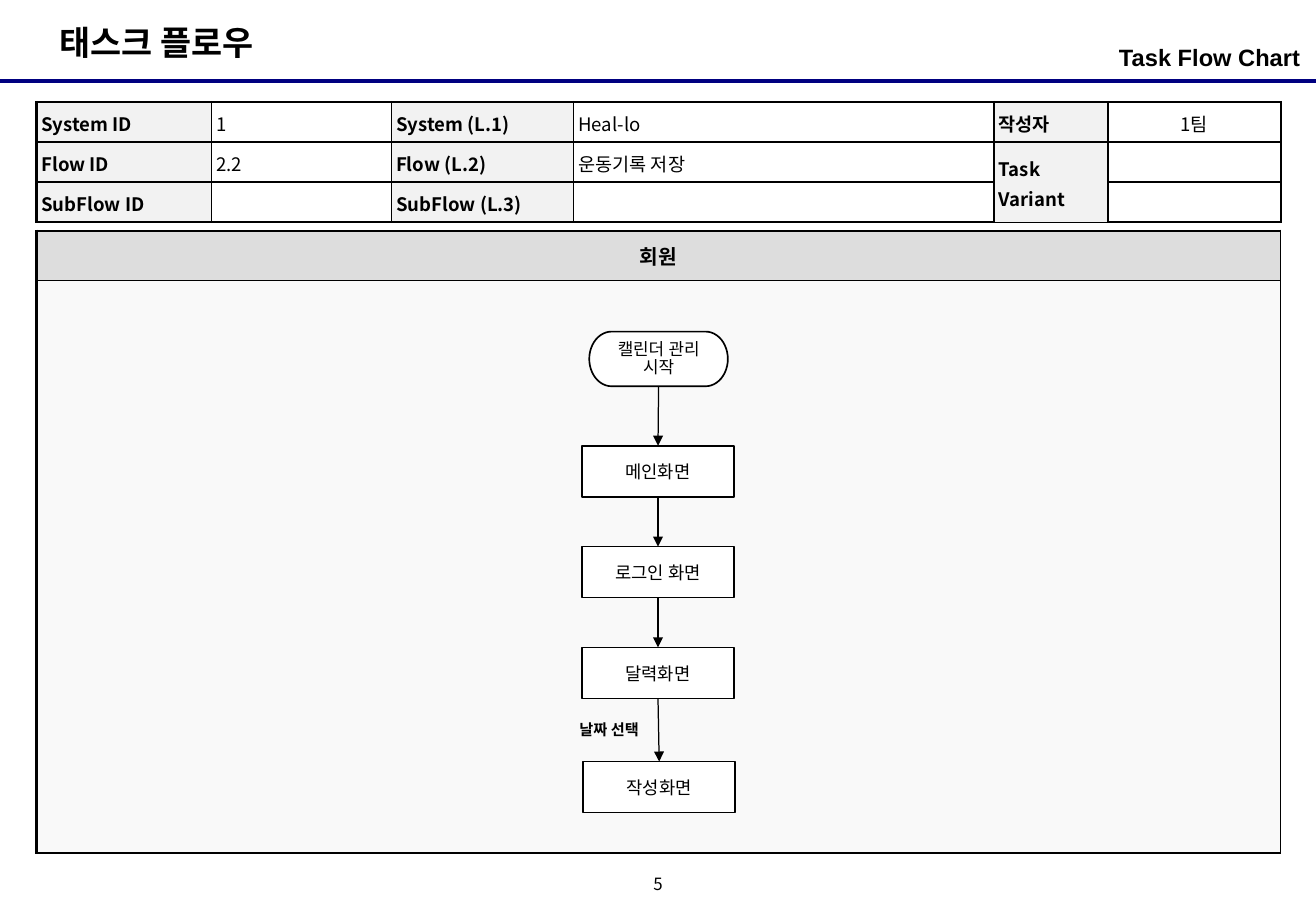
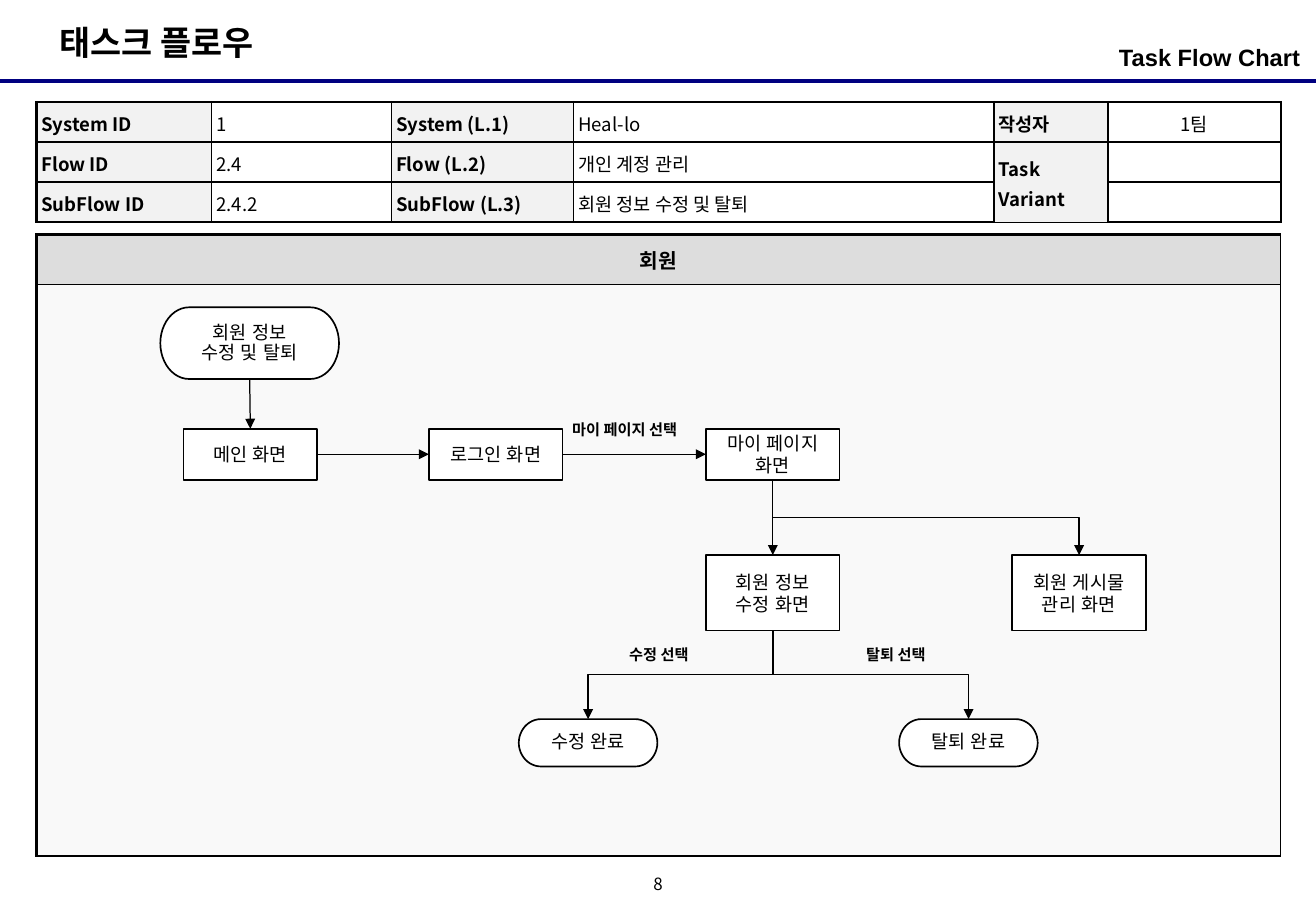
"""Build two task flow chart slides."""
import lxml.etree
import pptx
import pptx.dml.color
import pptx.enum.shapes
import pptx.enum.text
import pptx.oxml.ns
import pptx.util

Inches = pptx.util.Inches
Pt = pptx.util.Pt
RGBColor = pptx.dml.color.RGBColor
qn = pptx.oxml.ns.qn
ALIGN = pptx.enum.text.PP_ALIGN
ANCHOR = pptx.enum.text.MSO_ANCHOR
CONNECTOR = pptx.enum.shapes.MSO_CONNECTOR
SHAPE = pptx.enum.shapes.MSO_SHAPE

BLACK = RGBColor(0x00, 0x00, 0x00)
WHITE = RGBColor(0xFF, 0xFF, 0xFF)
NAVY = RGBColor(0x00, 0x00, 0x80)
LABEL_FILL = RGBColor(0xF2, 0xF2, 0xF2)
HEADER_FILL = RGBColor(0xDD, 0xDD, 0xDD)
PANEL_FILL = RGBColor(0xF9, 0xF9, 0xF9)

KOREAN_FONT = "Noto Sans CJK KR"
LATIN_FONT = "Arial"
SLIDE_WIDTH, SLIDE_HEIGHT = 10.83, 7.5
TABLE_LEFT = 0.3
INFO_COLUMNS = (1.44, 1.48, 1.5, 3.46, 0.94, 1.42)
LABEL_COLUMNS = (0, 2, 4)
TOP, LEFT, BOTTOM, RIGHT = range(4)


def write_text(frame, text, size=11, font=KOREAN_FONT, bold=False, align=ALIGN.LEFT,
               anchor=ANCHOR.MIDDLE, spacing=1.0, wrap=True, insets=None):
    """Fill a text frame with one paragraph per line of text."""
    frame.word_wrap = wrap
    frame.vertical_anchor = anchor
    if insets:
        frame.margin_left = frame.margin_right = Inches(insets[0])
        frame.margin_top = frame.margin_bottom = Inches(insets[1])
    for index, line in enumerate(text.split("\n")):
        paragraph = frame.add_paragraph() if index else frame.paragraphs[0]
        paragraph.alignment = align
        paragraph.line_spacing = spacing
        if not line:
            lxml.etree.SubElement(paragraph._p, qn("a:endParaRPr"), sz=str(size * 100))
            continue
        run = paragraph.add_run()
        run.text = line
        run.font.size = Pt(size)
        run.font.bold = bold
        run.font.name = font
        run.font.color.rgb = BLACK
        lxml.etree.SubElement(run._r.get_or_add_rPr(), qn("a:ea"), typeface=font)


def add_label(slide, left, top, width, height, text, **text_format):
    """Add a text box."""
    box = slide.shapes.add_textbox(Inches(left), Inches(top), Inches(width), Inches(height))
    write_text(box.text_frame, text, **text_format)


def add_choice(slide, left, top, width, text):
    """Add the bold caption of a choice beside an arrow."""
    add_label(slide, left, top, width, 0.25, text, size=9, bold=True)


def style_line(connector, color, width):
    """Give a connector its colour and width and remove its shadow."""
    connector.line.color.rgb = color
    connector.line.width = Pt(width)
    lxml.etree.SubElement(connector.element.spPr, qn("a:effectLst"))


def add_frame(presentation, page_number):
    """Add a slide with the shared title, rule, heading and page number."""
    slide = presentation.slides.add_slide(presentation.slide_layouts[5])
    rule = slide.shapes.add_connector(
        CONNECTOR.STRAIGHT, 0, Inches(0.67), Inches(SLIDE_WIDTH), Inches(0.67))
    style_line(rule, NAVY, 2.25)
    title = slide.shapes.title
    title.left, title.top = Inches(0.39), Inches(0.13)
    title.width, title.height = Inches(1.98), Inches(0.44)
    write_text(title.text_frame, "태스크 플로우", size=20, bold=True, wrap=False)
    title.text_frame.auto_size = pptx.enum.text.MSO_AUTO_SIZE.NONE
    add_label(slide, 7.39, 0.3, 3.31, 0.39, "Task Flow Chart", size=14, font=LATIN_FONT,
              bold=True, align=ALIGN.RIGHT, anchor=ANCHOR.TOP, insets=(0, 0.05))
    add_label(slide, 5.25, 7.17, 0.33, 0.25, page_number, size=10, align=ALIGN.CENTER,
              spacing=0.8, wrap=False, insets=(0, 0))
    return slide


def add_table(slide, top, columns, rows):
    """Add a plain table with the given column widths and row heights."""
    table = slide.shapes.add_table(
        len(rows), len(columns), Inches(TABLE_LEFT), Inches(top),
        Inches(sum(columns)), Inches(sum(rows))).table
    table.first_row = table.horz_banding = False
    for column, width in zip(table.columns, columns):
        column.width = Inches(width)
    for row, height in zip(table.rows, rows):
        row.height = Inches(height)
    return table


def style_cell(cell, fill, left, right, top, bottom):
    """Set the border widths in points and the fill of a cell."""
    properties = cell._tc.get_or_add_tcPr()
    for side, width in zip("LRTB", (left, right, top, bottom)):
        line = lxml.etree.SubElement(properties, qn(f"a:ln{side}"), w=str(Pt(width)))
        solid = lxml.etree.SubElement(line, qn("a:solidFill"))
        lxml.etree.SubElement(solid, qn("a:srgbClr"), val=str(BLACK))
    cell.fill.solid()
    cell.fill.fore_color.rgb = fill


def add_info_table(slide, flow_id, flow, subflow_id="", subflow=""):
    """Add the table that identifies the system, flow and subflow."""
    rows = (
        ("System ID", "1", "System (L.1)", "Heal-lo", "작성자", "1팀"),
        ("Flow ID", flow_id, "Flow (L.2)", flow, "Task Variant", ""),
        ("SubFlow ID", subflow_id, "SubFlow (L.3)", subflow, "", ""),
    )
    table = add_table(slide, 0.84, INFO_COLUMNS, [0.33] * len(rows))
    last_row, last_column = len(rows) - 1, len(INFO_COLUMNS) - 1
    for row, texts in enumerate(rows):
        for column, text in enumerate(texts):
            cell = table.cell(row, column)
            is_label = column in LABEL_COLUMNS
            is_author = column >= 4
            style_cell(
                cell, LABEL_FILL if is_label else WHITE,
                left=1.5 if column == 0 else 1,
                right=1.5 if column == last_column else 1,
                top=1.5 if row == 0 or (is_author and row == 1) else 1,
                bottom=1.5 if row == last_row or (is_author and row == 0) else 1)
            cell.margin_left = cell.margin_right = Inches(0.04)
            cell.margin_top = cell.margin_bottom = Inches(0.04)
            cell.vertical_anchor = ANCHOR.MIDDLE
            write_text(cell.text_frame, text, bold=is_label, spacing=1.1,
                       align=ALIGN.CENTER if column == last_column else ALIGN.LEFT)
    table.cell(1, 4).merge(table.cell(2, 4))


def add_lane(slide, top):
    """Add the member lane that holds the flow."""
    table = add_table(slide, top, [sum(INFO_COLUMNS)], [0.41, 4.71])
    header, body = table.cell(0, 0), table.cell(1, 0)
    style_cell(header, HEADER_FILL, left=1.5, right=0.75, top=1.5, bottom=0.75)
    style_cell(body, PANEL_FILL, left=1.5, right=0.75, top=0.75, bottom=1.5)
    header.vertical_anchor = ANCHOR.MIDDLE
    write_text(header.text_frame, "회원", size=12, bold=True, align=ALIGN.CENTER)


def add_node(slide, kind, left, top, width, height, text, **text_format):
    """Add an outlined node of the flow."""
    node = slide.shapes.add_shape(
        kind, Inches(left), Inches(top), Inches(width), Inches(height))
    node.shadow.inherit = False
    node.fill.solid()
    node.fill.fore_color.rgb = WHITE
    node.line.color.rgb = BLACK
    node.line.width = Pt(1)
    write_text(node.text_frame, text, font=LATIN_FONT, align=ALIGN.CENTER,
               insets=(0.02, 0), **text_format)
    return node


def add_screen(slide, left, top, text, width=1.1, height=0.42, size=11):
    """Add a rectangular screen node."""
    return add_node(slide, SHAPE.RECTANGLE, left, top, width, height, text, size=size)


def add_terminator(slide, left, top, text, width=1.14, height=0.39, size=11):
    """Add a rounded start or end node."""
    return add_node(slide, SHAPE.FLOWCHART_TERMINATOR, left, top, width, height, text,
                    size=size, spacing=0.9)


def add_arrow(slide, source, target, start=BOTTOM, end=TOP, kind=CONNECTOR.STRAIGHT):
    """Join two nodes with an arrow."""
    arrow = slide.shapes.add_connector(kind, 0, 0, 0, 0)
    arrow.begin_connect(source, start)
    arrow.end_connect(target, end)
    style_line(arrow, BLACK, 0.75)
    line = arrow.element.spPr.find(qn("a:ln"))
    lxml.etree.SubElement(line, qn("a:tailEnd"), type="triangle")
    return arrow


def add_branch(slide, source, target):
    """Join two nodes with an elbow arrow that leaves downwards."""
    arrow = add_arrow(slide, source, target, kind=CONNECTOR.ELBOW)
    across = arrow.end_x - arrow.begin_x
    down = arrow.end_y - arrow.begin_y
    center_x = arrow.begin_x + across // 2
    center_y = arrow.begin_y + down // 2
    arrow.width, arrow.height = down, abs(across)
    arrow.left, arrow.top = center_x - down // 2, center_y - abs(across) // 2
    transform = arrow.element.spPr.find(qn("a:xfrm"))
    transform.set("rot", str((270 if across > 0 else 90) * 60000))
    transform.set("flipH", "1" if across > 0 else "0")


def build_record_slide(presentation):
    """Build the flow for saving an exercise record."""
    slide = add_frame(presentation, "5")
    add_info_table(slide, "2.2", "운동기록 저장")
    add_lane(slide, 1.9)
    nodes = [add_terminator(slide, 4.85, 2.73, "캘린더 관리\n시작", height=0.45, size=10)]
    for index, text in enumerate(("메인화면", "로그인 화면", "달력화면")):
        nodes.append(add_screen(slide, 4.79, 3.67 + 0.83 * index, text, width=1.25, size=10.5))
    nodes.append(add_screen(slide, 4.8, 6.27, "작성화면", width=1.25, size=10.5))
    for source, target in zip(nodes, nodes[1:]):
        add_arrow(slide, source, target)
    add_choice(slide, 4.67, 5.88, 0.75, "날짜 선택")


def build_account_slide(presentation):
    """Build the flow for editing or leaving an account."""
    slide = add_frame(presentation, "8")
    add_info_table(slide, "2.4", "개인 계정 관리", "2.4.2", "회원 정보 수정 및 탈퇴")
    add_lane(slide, 1.93)
    start = add_terminator(slide, 1.32, 2.53, "회원 정보\n수정 및 탈퇴", width=1.47, height=0.59)
    main_screen = add_screen(slide, 1.51, 3.53, "메인 화면")
    login = add_screen(slide, 3.53, 3.53, "로그인 화면")
    my_page = add_screen(slide, 5.81, 3.53, "마이 페이지 화면")
    edit = add_screen(slide, 5.81, 4.57, "회원 정보\n수정 화면", height=0.62)
    posts = add_screen(slide, 8.33, 4.57, "회원 게시물\n관리 화면", height=0.62)
    edited = add_terminator(slide, 4.27, 5.92, "수정 완료")
    withdrawn = add_terminator(slide, 7.4, 5.92, "탈퇴 완료")
    add_arrow(slide, start, main_screen)
    add_arrow(slide, main_screen, login, RIGHT, LEFT)
    add_arrow(slide, login, my_page, RIGHT, LEFT)
    add_arrow(slide, my_page, edit)
    for source, target in ((my_page, posts), (edit, edited), (edit, withdrawn)):
        add_branch(slide, source, target)
    add_choice(slide, 4.61, 3.41, 1.42, "마이 페이지 선택")
    add_choice(slide, 5.08, 5.26, 0.94, "수정 선택")
    add_choice(slide, 7.03, 5.26, 0.94, "탈퇴 선택")


def main():
    """Build and save the presentation."""
    presentation = pptx.Presentation()
    presentation.slide_width = Inches(SLIDE_WIDTH)
    presentation.slide_height = Inches(SLIDE_HEIGHT)
    build_record_slide(presentation)
    build_account_slide(presentation)
    presentation.save("out.pptx")


if __name__ == "__main__":
    main()
